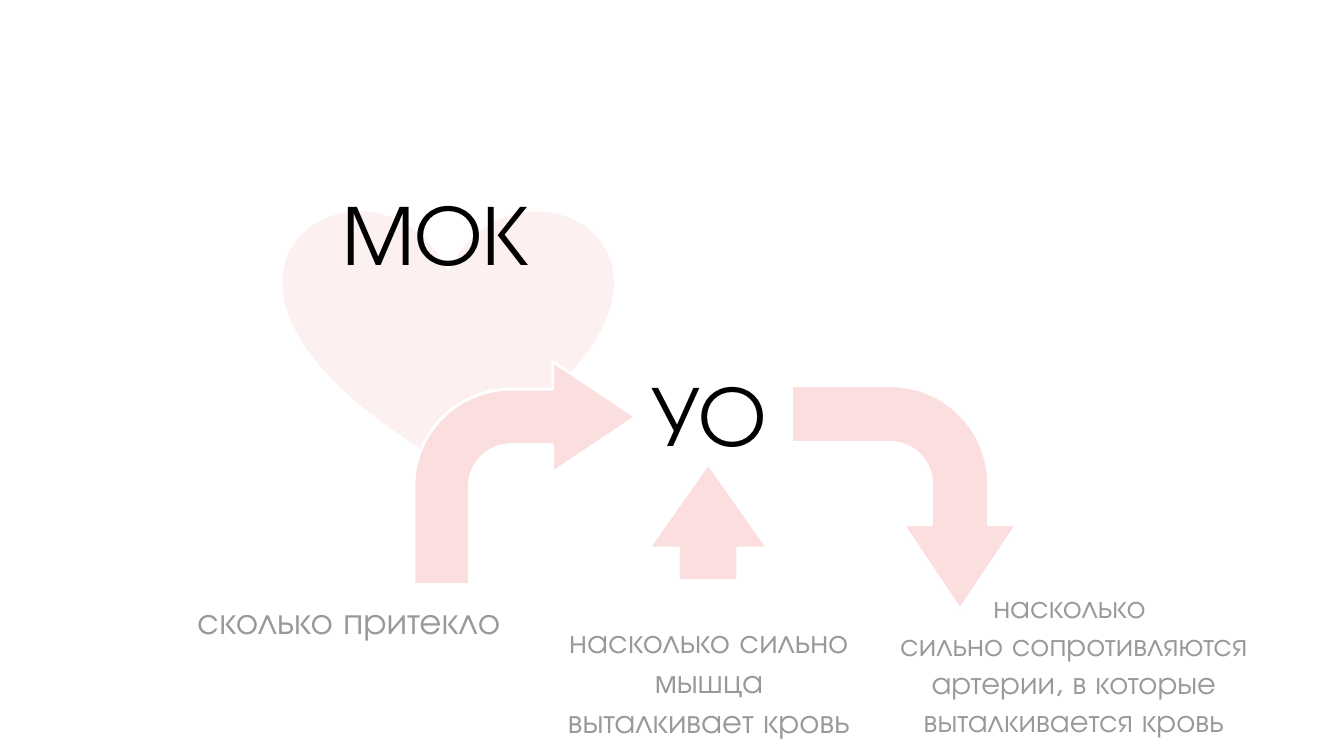
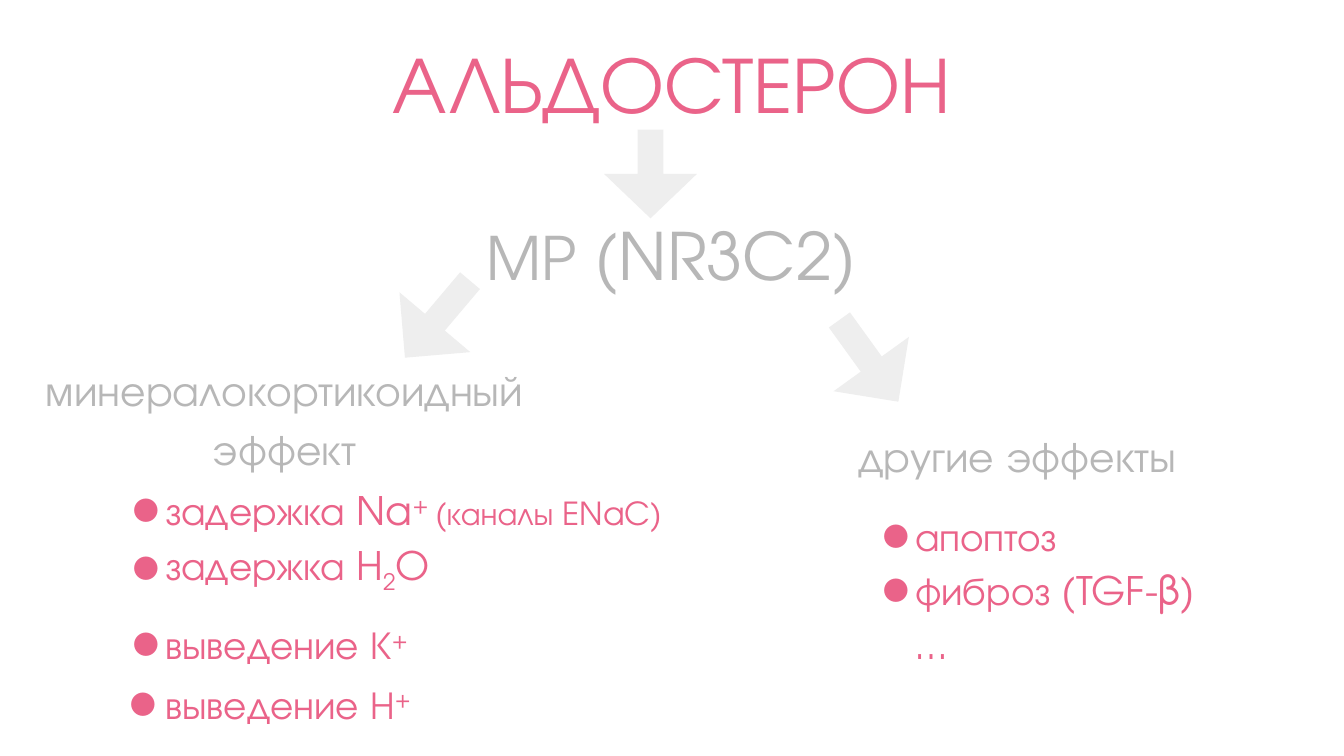
"""Build two slides on cardiac output and the effects of aldosterone."""
from lxml import etree
from pptx import Presentation
from pptx.dml.color import RGBColor
from pptx.enum import shapes, text
from pptx.oxml import ns
from pptx.util import Inches, Pt

FONT = "TeX Gyre Adventor"
GREEK_FONT = "Comfortaa"
BLACK = RGBColor(0x00, 0x00, 0x00)
WHITE = RGBColor(0xFF, 0xFF, 0xFF)
GREY = RGBColor(0x99, 0x99, 0x99)
SILVER = RGBColor(0xB7, 0xB7, 0xB7)
PALE_GREY = RGBColor(0xEE, 0xEE, 0xEE)
PINK = RGBColor(0xEA, 0x63, 0x89)
PALE_PINK = RGBColor(0xFB, 0xDE, 0xDE)
HEART_RED = RGBColor(0xF3, 0xA6, 0xA6)

SHAPE = shapes.MSO_SHAPE
BOTTOM, MIDDLE = text.MSO_ANCHOR.BOTTOM, text.MSO_ANCHOR.MIDDLE
CENTER, LEFT = text.PP_ALIGN.CENTER, text.PP_ALIGN.LEFT
SUPER, SUB = {"baseline": 30}, {"baseline": -25}
BEND = (0.25, 0.25, 0.374, 0.438)
POINT = (0.279, 0.5)

HEART = (2.11, 1.55, 2.45, 1.91)
FLOW_ARROWS = [
    (SHAPE.BENT_ARROW, (3.08, 2.69, 1.65, 1.66), 0, BEND, 1.5),
    (SHAPE.RIGHT_ARROW, (4.85, 3.47, 0.84, 0.84), 270, (0.5, 0.71), 0),
    (SHAPE.BENT_ARROW, (5.9, 2.87, 1.65, 1.66), 90, BEND, 0.75),
]
FLOW_LABELS = [
    ((2.28, 1.12, 1.93, 1.08), 46, BLACK, ["МОК"]),
    ((3.3, 2.47, 3.95, 1.08), 46, BLACK, ["УО"]),
    ((0.62, 4.35, 3.95, 0.53), 20, GREY, ["сколько притекло"]),
    ((6.47, 4.17, 3.04, 1.43), 17, GREY,
     ["насколько ", "сильно сопротивляются артерии, в которые выталкивается кровь"]),
    ((4.12, 4.02, 2.31, 1.59), 18, GREY, ["насколько сильно мышца выталкивает кровь "]),
]

EFFECT_ARROWS = [
    ((2.88, 2.03, 0.75, 0.69), 130.2),
    ((6.09, 2.34, 0.75, 0.69), 54.2),
    ((4.51, 0.95, 0.66, 0.69), 90),
]
EFFECT_HEADINGS = [
    ((2.38, 0, 5.23, 1.1), 43, PINK, CENTER, "АЛЬДОСТЕРОН"),
    ((2.5, 1.34, 4.99, 1.01), 35, SILVER, CENTER, "МР (NR3C2)"),
    ((-0.05, 2.58, 4.34, 1.01), 23, SILVER, CENTER, "минералокортикоидный эффект"),
    ((6.29, 2.98, 2.89, 0.76), 23, SILVER, LEFT, "другие эффекты"),
]
EFFECT_LISTS = [
    ((0.63, 3.49, 4.99, 2), [
        {"runs": [("задержка Na", {}), ("+ ", SUPER), ("(каналы ENaC)", {"size": 17})]},
        {"runs": [("задержка H", {}), ("2", SUB), ("O", {})]},
        {"runs": [("выведение К", {}), ("+", SUPER)], "before": 10},
        {"runs": [("выведение Н", {}), ("+", SUPER)], "before": 3, "hang": 0.27},
    ]),
    ((6.21, 3.59, 3.45, 1.55), [
        {"runs": [("апоптоз", {})]},
        {"runs": [("фиброз (TGF-", {}), ("β", {"font": GREEK_FONT}), (")", {})]},
        {"runs": [("…", {})], "bullet": False},
    ]),
]


def add_figure(slide, kind, place, fill, rotation=0, adjustments=(), outline=0):
    shape = slide.shapes.add_shape(kind, *map(Inches, place))
    shape.shadow.inherit = False
    shape.rotation = rotation
    shape.fill.solid()
    shape.fill.fore_color.rgb = fill
    for index, value in enumerate(adjustments):
        shape.adjustments[index] = value
    if outline:
        shape.line.color.rgb = WHITE
        shape.line.width = Pt(outline)
    else:
        shape.line.fill.background()
    return shape


def set_transparency(shape, opacity):
    color = shape.element.spPr.find(".//" + ns.qn("a:srgbClr"))
    etree.SubElement(color, ns.qn("a:alpha"), val=str(opacity * 1000))


def set_indent(paragraph, hang, bullet):
    properties = paragraph._p.get_or_add_pPr()
    properties.set("marL", str(Inches(0.5 if bullet else 0)))
    properties.set("indent", str(Inches(-hang if bullet else 0.5)))
    if bullet:
        color = etree.SubElement(properties, ns.qn("a:buClr"))
        etree.SubElement(color, ns.qn("a:srgbClr"), val=str(PINK))
        etree.SubElement(properties, ns.qn("a:buFont"), typeface=FONT)
        etree.SubElement(properties, ns.qn("a:buChar"), char="●")


def add_run(paragraph, words, size=None, font=None, baseline=None):
    run = paragraph.add_run()
    run.text = words
    if size:
        run.font.size = Pt(size)
    if font:
        run.font.name = font
    if baseline:
        run._r.get_or_add_rPr().set("baseline", str(baseline * 1000))


def add_text(slide, place, items, size, color, anchor, align=CENTER, spacing=None):
    frame = slide.shapes.add_textbox(*map(Inches, place)).text_frame
    frame.word_wrap = True
    frame.vertical_anchor = anchor
    frame.margin_left = frame.margin_right = Inches(0.1)
    frame.margin_top = frame.margin_bottom = Inches(0.1)
    for index, item in enumerate(items):
        paragraph = frame.add_paragraph() if index else frame.paragraphs[0]
        if isinstance(item, str):
            item = {"runs": [(item, {})]}
        else:
            set_indent(paragraph, item.get("hang", 0.25), item.get("bullet", True))
        paragraph.alignment = align
        if spacing:
            paragraph.line_spacing = spacing
        if "before" in item:
            paragraph.space_before = Pt(item["before"])
        paragraph.font.name = FONT
        paragraph.font.size = Pt(size)
        paragraph.font.color.rgb = color
        for words, style in item["runs"]:
            add_run(paragraph, words, **style)


def build_flow_slide(slide):
    set_transparency(add_figure(slide, SHAPE.HEART, HEART, HEART_RED), 16)
    for kind, place, rotation, adjustments, outline in FLOW_ARROWS:
        add_figure(slide, kind, place, PALE_PINK, rotation, adjustments, outline)
    for place, size, color, items in FLOW_LABELS:
        add_text(slide, place, items, size, color, BOTTOM)


def build_effects_slide(slide):
    for place, rotation in EFFECT_ARROWS:
        add_figure(slide, SHAPE.RIGHT_ARROW, place, PALE_GREY, rotation, POINT)
    for place, size, color, align, words in EFFECT_HEADINGS:
        add_text(slide, place, [words], size, color, MIDDLE, align, 1.15)
    for place, items in EFFECT_LISTS:
        add_text(slide, place, items, 21, PINK, MIDDLE, LEFT, 1.15)


def main():
    presentation = Presentation()
    presentation.slide_width = Inches(10)
    presentation.slide_height = Inches(10) * 9 // 16
    for build in (build_flow_slide, build_effects_slide):
        build(presentation.slides.add_slide(presentation.slide_layouts[6]))
    presentation.save("out.pptx")


if __name__ == "__main__":
    main()
